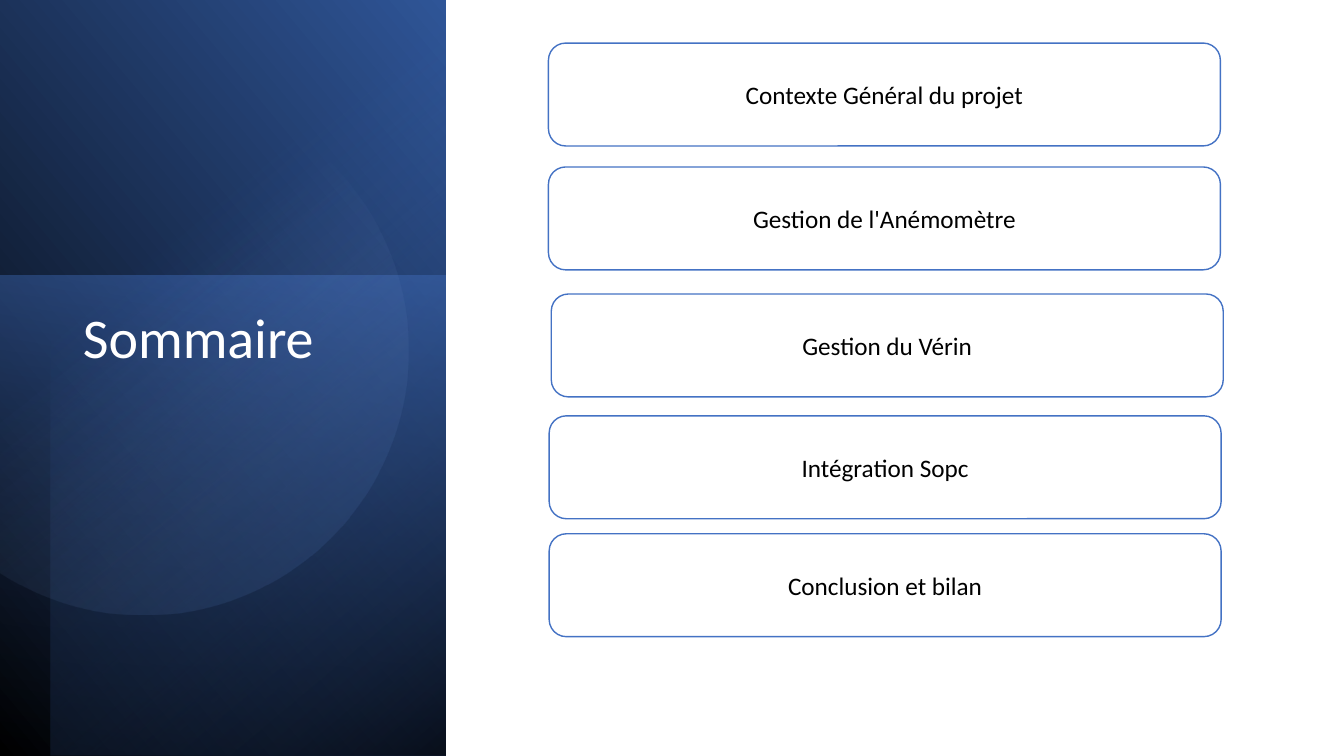
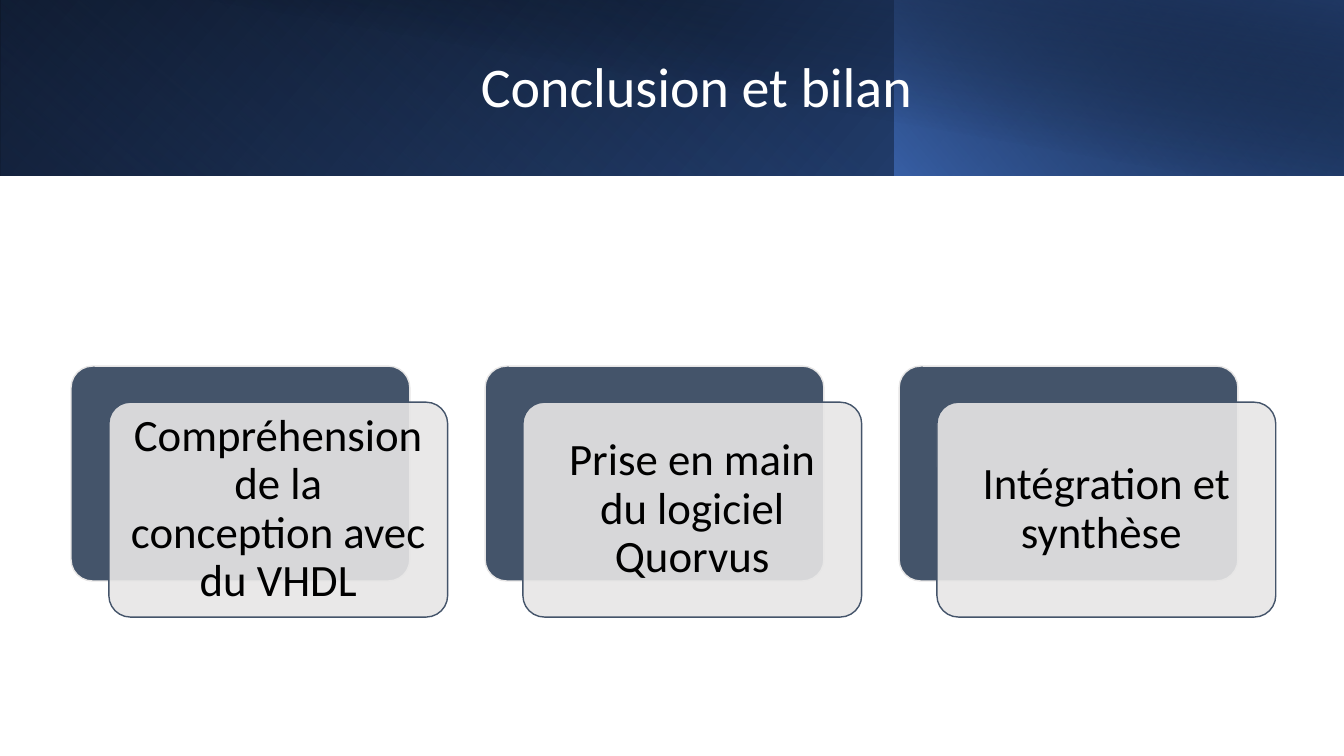
from math import acos, degrees, sqrt

from pptx import Presentation
from pptx.dml.color import RGBColor
from pptx.enum.shapes import MSO_SHAPE as Preset
from pptx.enum.text import MSO_ANCHOR as Anchor, MSO_AUTO_SIZE as AutoSize, PP_ALIGN as Align
from pptx.oxml.ns import qn
from pptx.oxml.xmlchemy import OxmlElement
from pptx.util import Pt

FONT = "Calibri"
TITLE_ONLY = 5
WIDTH, HEIGHT = 960, 540
BLACK = RGBColor(0x00, 0x00, 0x00)
WHITE = RGBColor(0xFF, 0xFF, 0xFF)
NAVY = RGBColor(0x20, 0x38, 0x64)
DEEP_BLUE = RGBColor(0x2F, 0x55, 0x97)
BLUE = RGBColor(0x44, 0x72, 0xC4)
PALE_BLUE = RGBColor(0x8F, 0xAA, 0xDC)
SLATE = RGBColor(0x44, 0x54, 0x6A)
LIGHT_GRAY = RGBColor(0xE7, 0xE6, 0xE6)

AGENDA_TITLE = "Sommaire"
AGENDA = [
    ("Contexte Général du projet", 391.75, 30.75),
    ("Gestion de l'Anémomètre", 391.75, 119.25),
    ("Gestion du Vérin", 393.75, 210),
    ("Intégration Sopc", 392.25, 297),
    ("Conclusion et bilan", 392.25, 381.25),
]
AGENDA_BOX = (480, 73.5)

CONCLUSION_TITLE = "Conclusion et bilan"
CONCLUSIONS = [
    "Compréhension de la conception avec du VHDL",
    "Prise en main du logiciel Quorvus",
    "Intégration et synthèse ",
]
CARD_SIZE = (242, 153.5)
CARD_LEFT, CARD_TOP, CARD_STEP = 50.75, 261.5, 295.75
CARD_OFFSET = (27, 25.75)

SIDE_WIDTH, BAND_HEIGHT = 318.5, 125.5
SIDE_PANELS = [
    dict(frame=(0, 0, SIDE_WIDTH, HEIGHT), turn=90, flip=True, angle=310,
         stops=[(0, BLACK, 100), (100, DEEP_BLUE, 100)]),
    dict(frame=(0, 196.5, SIDE_WIDTH, HEIGHT - 196.5), turn=270, angle=190,
         stops=[(0, BLUE, 50), (100, NAVY, 0)]),
    dict(frame=(36, 0, SIDE_WIDTH - 36, HEIGHT), turn=270, flip=True, angle=220,
         stops=[(0, BLACK, 59), (69, BLUE, 0)]),
]
BAND_PANELS = [
    dict(frame=(0, 0, WIDTH, BAND_HEIGHT), flip=True, angle=140,
         stops=[(0, BLACK, 100), (100, DEEP_BLUE, 100)]),
    dict(frame=(0, 0, 639, BAND_HEIGHT), turn=180, flip=True, angle=230,
         stops=[(20, BLUE, 0), (100, NAVY, 55)]),
    dict(frame=(639, 0, WIDTH - 639, BAND_HEIGHT), flip=True, angle=220,
         stops=[(0, BLUE, 66), (100, BLACK, 30)]),
    dict(frame=(36, 0, WIDTH - 36, BAND_HEIGHT), angle=280,
         stops=[(50, BLACK, 0), (99, NAVY, 52)]),
]
CIRCLE_CENTER, CIRCLE_RADIUS = (103, 250), 189
CIRCLE_STOPS = [(39, PALE_BLUE, 0), (100, DEEP_BLUE, 26)]


def add_child(parent, tag, **attributes):
    child = OxmlElement(tag)
    for name, value in attributes.items():
        child.set(name, str(value))
    parent.append(child)
    return child


def add_alpha(color_element, percent):
    add_child(color_element, "a:alpha", val=percent * 1000)


def angle_units(angle):
    return round(angle * 60000)


def set_gradient(shape, stops, angle):
    shape.shadow.inherit = False
    shape.line.fill.background()
    shape.fill.gradient()
    gradient = shape.element.spPr.find(qn("a:gradFill"))
    for child in list(gradient):
        gradient.remove(child)
    gradient.set("rotWithShape", "1")
    stop_list = add_child(gradient, "a:gsLst")
    for position, color, opacity in stops:
        stop = add_child(stop_list, "a:gs", pos=position * 1000)
        add_alpha(add_child(stop, "a:srgbClr", val=color), opacity)
    add_child(gradient, "a:lin", ang=angle_units(angle), scaled=0)


def add_panel(slide, frame, stops, angle, turn=0, flip=False):
    left, top, width, height = frame
    if turn % 180:
        left, top = left + (width - height) / 2, top + (height - width) / 2
        width, height = height, width
    shape = slide.shapes.add_shape(Preset.RECTANGLE, Pt(left), Pt(top), Pt(width), Pt(height))
    shape.rotation = turn
    if flip:
        shape.element.spPr.xfrm.set("flipH", "1")
    set_gradient(shape, stops, angle)


def add_clipped_circle(slide):
    center_x, center_y = CIRCLE_CENTER
    radius = CIRCLE_RADIUS
    half_chord = sqrt(radius ** 2 - center_x ** 2)
    corners = [(center_x, center_y - radius), (center_x + radius, center_y),
               (center_x, center_y + radius), (0, center_y + half_chord)]
    builder = slide.shapes.build_freeform(0, Pt(center_y - half_chord))
    builder.add_line_segments([(Pt(x), Pt(y)) for x, y in corners], close=True)
    shape = builder.convert_to_shape()
    segments = list(shape.element.iter(qn("a:lnTo")))
    limit = degrees(acos(-center_x / radius))
    outline = segments[0].getparent()
    arc = add_child(outline, "a:arcTo", wR=Pt(radius), hR=Pt(radius),
                    stAng=angle_units(360 - limit), swAng=angle_units(2 * limit))
    segments[0].addprevious(arc)
    for segment in segments:
        outline.remove(segment)
    set_gradient(shape, CIRCLE_STOPS, 51.6)


def write_text(shape, text, size=18, color=BLACK, align=Align.CENTER, anchor=Anchor.MIDDLE,
               spacing=1.0, inset=None):
    frame = shape.text_frame
    frame.word_wrap = True
    frame.auto_size = AutoSize.NONE
    frame.vertical_anchor = anchor
    if inset is not None:
        frame.margin_left = frame.margin_right = Pt(inset)
        frame.margin_top = frame.margin_bottom = Pt(inset)
    paragraph = frame.paragraphs[0]
    paragraph.alignment = align
    paragraph.line_spacing = spacing
    run = paragraph.add_run()
    run.text = text
    run.font.name, run.font.size, run.font.color.rgb = FONT, Pt(size), color


def add_box(slide, left, top, size, fill, line, radius=0.1667, opacity=100):
    shape = slide.shapes.add_shape(Preset.ROUNDED_RECTANGLE, Pt(left), Pt(top), *map(Pt, size))
    shape.adjustments[0] = radius
    shape.shadow.inherit = False
    shape.fill.solid()
    shape.fill.fore_color.rgb = fill
    if opacity < 100:
        add_alpha(shape.element.spPr.find(qn("a:solidFill"))[0], opacity)
    shape.line.color.rgb = line
    shape.line.width = Pt(1)
    return shape


def place_title(slide, text, frame, **text_format):
    title = slide.shapes.title
    title.left, title.top, title.width, title.height = map(Pt, frame)
    write_text(title, text, size=40, color=WHITE, spacing=0.9, **text_format)
    slide.shapes.element.append(title.element)


def add_slide(presentation, panels):
    slide = presentation.slides.add_slide(presentation.slide_layouts[TITLE_ONLY])
    for panel in panels:
        add_panel(slide, **panel)
    return slide


def build_agenda(presentation):
    slide = add_slide(presentation, SIDE_PANELS)
    add_clipped_circle(slide)
    place_title(slide, AGENDA_TITLE, (52, 218, 227, 242), align=Align.LEFT, anchor=Anchor.TOP)
    for text, left, top in AGENDA:
        write_text(add_box(slide, left, top, AGENDA_BOX, WHITE, BLUE), text)


def build_conclusion(presentation):
    slide = add_slide(presentation, BAND_PANELS)
    place_title(slide, CONCLUSION_TITLE, (108, 23, 779, 81.5))
    shift_x, shift_y = CARD_OFFSET
    for index, text in enumerate(CONCLUSIONS):
        left = CARD_LEFT + index * CARD_STEP
        add_box(slide, left, CARD_TOP, CARD_SIZE, SLATE, LIGHT_GRAY, radius=0.1)
        front = add_box(slide, left + shift_x, CARD_TOP + shift_y, CARD_SIZE, LIGHT_GRAY, SLATE,
                        radius=0.1, opacity=90)
        write_text(front, text, size=32, spacing=0.9, inset=10)


def main():
    presentation = Presentation()
    presentation.slide_width, presentation.slide_height = Pt(WIDTH), Pt(HEIGHT)
    build_agenda(presentation)
    build_conclusion(presentation)
    presentation.save("out.pptx")


if __name__ == "__main__":
    main()
